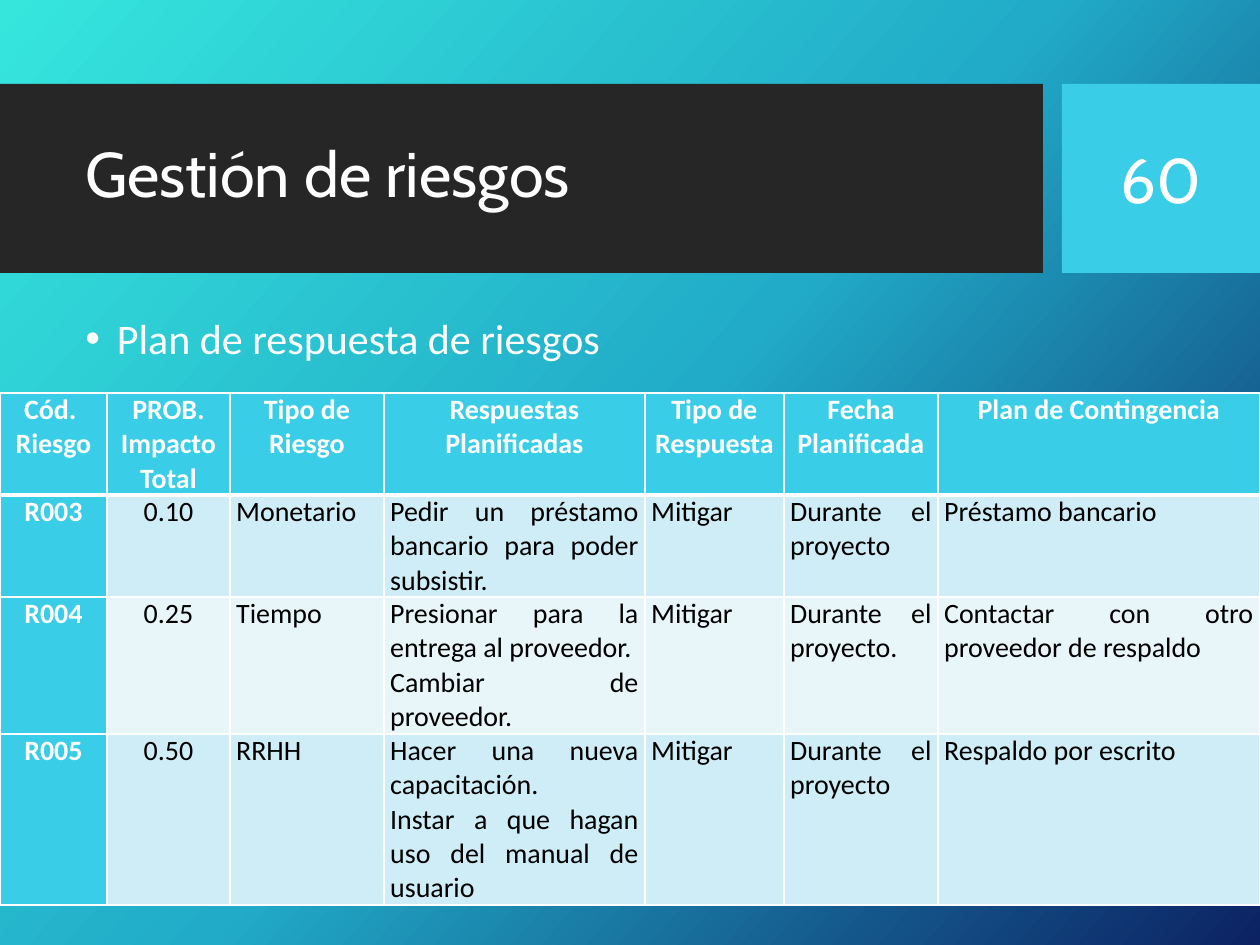
from copy import deepcopy
from dataclasses import dataclass

from lxml import etree
from pptx import Presentation
from pptx import util as u
from pptx.dml.color import RGBColor
from pptx.enum import shapes, text
from pptx.oxml import ns

PX = 914400 // 126


@dataclass(frozen=True)
class Theme:
    gradient: tuple = ("36E6DD", "21ABC8", "0C2263")
    gradient_angle: int = 318
    band: str = "262626"
    accent: str = "39CDE7"
    white: str = "FFFFFF"
    black: str = "000000"
    rows: tuple = ("CEEDF6", "E8F6FA")
    heading_font: str = "Cabin"
    body_font: str = "Calibri"
    title_size: int = 36
    bullet_size: int = 24
    table_size: int = 16


T = Theme()
CENTER, JUSTIFY = text.PP_ALIGN.CENTER, text.PP_ALIGN.JUSTIFY

TITLE = "Gestión de riesgos"
NUMBER = "60"
BULLET = "Plan de respuesta de riesgos"

# A line break inside a cell starts a new paragraph.
HEADER = ["Cód. \nRiesgo", "PROB. Impacto Total", "Tipo de Riesgo",
          "Respuestas Planificadas", "Tipo de Respuesta",
          "Fecha Planificada", "Plan de Contingencia"]
RISKS = [
    ["R003", "0.10", "Monetario",
     "Pedir un préstamo bancario para poder subsistir.",
     "Mitigar", "Durante el proyecto", "Préstamo bancario"],
    ["R004", "0.25", "Tiempo",
     "Presionar para la entrega al proveedor.\nCambiar de proveedor.",
     "Mitigar", "Durante el proyecto.",
     "Contactar con otro proveedor de respaldo"],
    ["R005", "0.50", "RRHH",
     "Hacer una nueva capacitación.\n"
     "Instar a que hagan uso del manual de usuario",
     "Mitigar", "Durante el proyecto", "Respaldo por escrito"],
]
COLUMNS = [107, 123, 154, 261, 139, 154, 322]
ROWS = [102, 102, 137, 171]
TABLE_TOP = 393


def rgb(value):
    return RGBColor.from_string(value)


def box(*px):
    return [v * PX for v in px]


def add_run(p, content, font, size, color, bold=False):
    r = p.add_run()
    r.text = content
    r.font.name, r.font.size, r.font.bold = font, u.Pt(size), bold
    r.font.color.rgb = rgb(color)


def paint_background(s):
    fill = s.background.fill
    fill.gradient()
    fill.gradient_angle = T.gradient_angle
    stops = s.background._cSld.find(".//" + ns.qn("a:gsLst"))
    stops.insert(1, deepcopy(stops[0]))
    for i, (stop, color) in enumerate(zip(fill.gradient_stops, T.gradient)):
        stop.position = i / (len(T.gradient) - 1)
        stop.color.rgb = rgb(color)


def add_block(s, area, color):
    sp = s.shapes.add_shape(shapes.MSO_SHAPE.RECTANGLE, *box(*area))
    sp.shadow.inherit = False
    sp.fill.solid()
    sp.fill.fore_color.rgb = rgb(color)
    sp.line.fill.background()


def add_text(s, area, content, font, size, anchor=text.MSO_ANCHOR.MIDDLE):
    tf = s.shapes.add_textbox(*box(*area)).text_frame
    tf.word_wrap = True
    tf.vertical_anchor = anchor
    p = tf.paragraphs[0]
    add_run(p, content, font, size, T.white)
    return p


def add_bullet(p):
    pPr = p._p.get_or_add_pPr()
    pPr.set("marL", str(u.Inches(0.25)))
    pPr.set("indent", str(-u.Inches(0.25)))
    etree.SubElement(pPr, ns.qn("a:buFont"), typeface="Arial")
    etree.SubElement(pPr, ns.qn("a:buChar"), char="•")


def set_borders(cell, widths):
    """Draw white cell borders; widths maps each side to points."""
    tcPr = cell._tc.get_or_add_tcPr()
    for i, (side, width) in enumerate(widths.items()):
        ln = etree.Element(ns.qn("a:ln" + side), w=str(u.Pt(width)))
        fill = etree.SubElement(ln, ns.qn("a:solidFill"))
        etree.SubElement(fill, ns.qn("a:srgbClr"), val=T.white)
        tcPr.insert(i, ln)


def fill_cell(cell, content, row, col):
    heading = row == 0 or col == 0
    cell.margin_left = cell.margin_right = u.Inches(0.05)
    cell.margin_top = cell.margin_bottom = 0
    cell.fill.solid()
    cell.fill.fore_color.rgb = rgb(
        T.accent if heading else T.rows[(row - 1) % len(T.rows)])
    set_borders(cell, {"L": 1, "R": 1, "T": 3 if row == 1 else 1,
                       "B": 3 if row == 0 else 1})
    tf = cell.text_frame
    for i, line in enumerate(content.split("\n")):
        p = tf.add_paragraph() if i else tf.paragraphs[0]
        p.alignment = CENTER if row == 0 or col < 2 else JUSTIFY
        add_run(p, line, T.body_font, T.table_size,
                T.white if heading else T.black, heading)


def add_risk_table(s):
    data = [HEADER] + RISKS
    table = s.shapes.add_table(
        len(ROWS), len(COLUMNS),
        *box(0, TABLE_TOP, sum(COLUMNS), sum(ROWS))).table
    for column, width in zip(table.columns, COLUMNS):
        column.width = width * PX
    for row, height in zip(table.rows, ROWS):
        row.height = height * PX
    for i, values in enumerate(data):
        for j, value in enumerate(values):
            fill_cell(table.cell(i, j), value, i, j)


def main():
    prs = Presentation()
    prs.slide_width, prs.slide_height = box(1260, 945)
    s = prs.slides.add_slide(prs.slide_layouts[6])
    paint_background(s)

    add_block(s, (0, 84, 1043, 189), T.band)
    add_block(s, (1062, 84, 198, 189), T.accent)
    title = add_text(s, (73, 103, 950, 149), TITLE,
                     T.heading_font, T.title_size)
    title.line_spacing = 0.9
    number = add_text(s, (1081, 103, 160, 150), NUMBER,
                      T.heading_font, T.title_size)
    number.alignment = CENTER

    bullet = add_text(s, (73, 312, 949, 496), BULLET, T.body_font,
                      T.bullet_size, text.MSO_ANCHOR.TOP)
    bullet.line_spacing = 0.9
    bullet.space_before = u.Pt(10)
    add_bullet(bullet)

    add_risk_table(s)
    prs.save("out.pptx")


if __name__ == "__main__":
    main()
